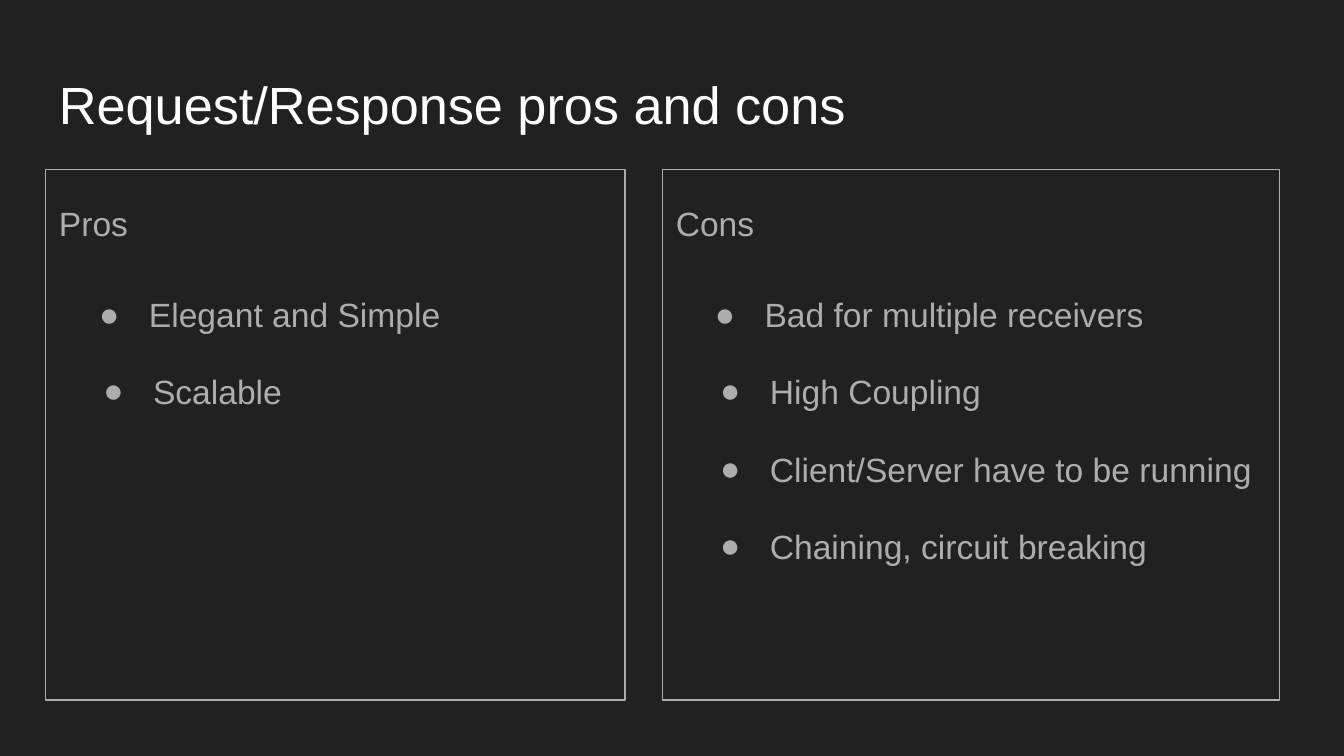
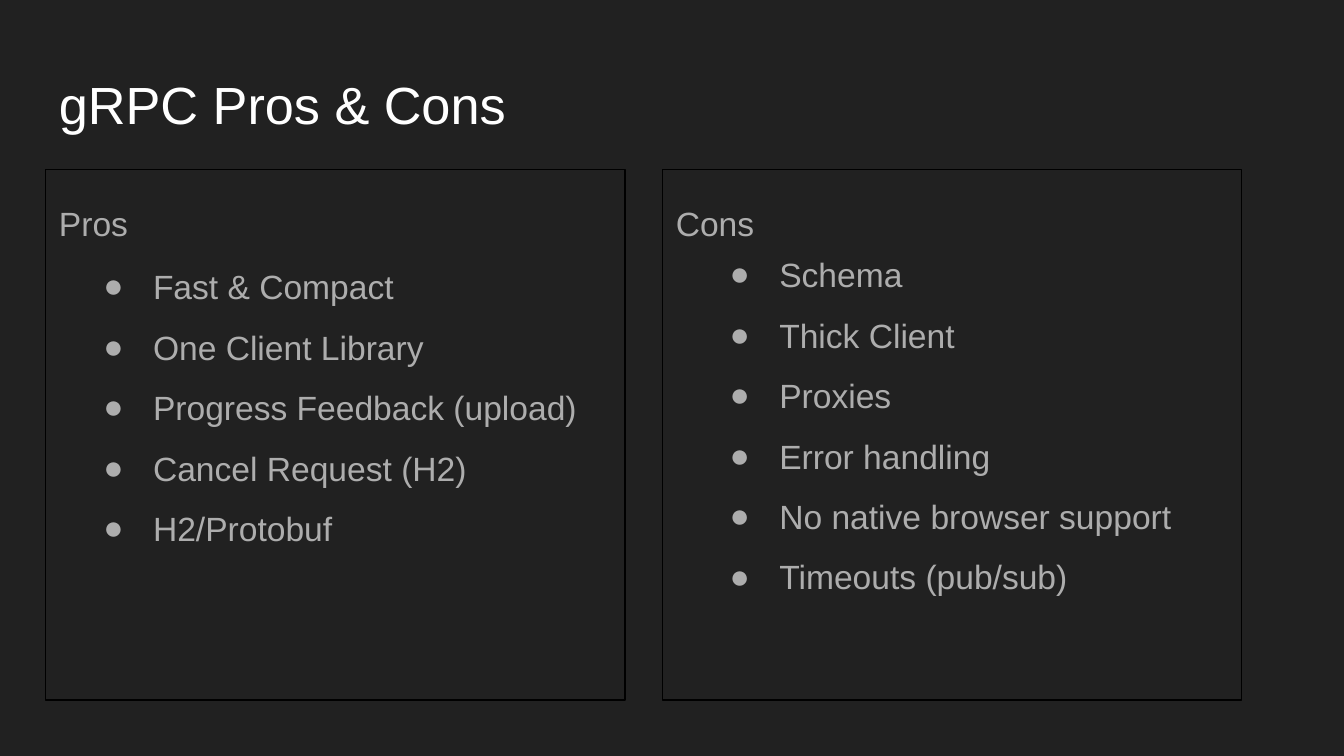
"""Build two slides that weigh pros against cons in side-by-side panels."""
import pptx
import pptx.dml.color
import pptx.enum.shapes
import pptx.enum.text
import pptx.oxml.ns
import pptx.util
from lxml import etree

Inches = pptx.util.Inches
RGBColor = pptx.dml.color.RGBColor

BACKGROUND = RGBColor(0x21, 0x21, 0x21)
WHITE = RGBColor(0xFF, 0xFF, 0xFF)
GRAY = RGBColor(0xAD, 0xAD, 0xAD)
BLACK = RGBColor(0x00, 0x00, 0x00)
FONT = "Arial"

WIDTH = 10
HEIGHT = WIDTH * 9 / 16
MARGIN = 0.34
PANEL_TOP, PANEL_WIDTH, PANEL_HEIGHT = 1.26, 4.31, 3.95
PANEL_LEFTS = (MARGIN, 4.93)
LIST_WIDTH, ITEM_HEIGHT = 3.91, 0.8
INDENT, HANGING = 0.5, 0.37

# Each list is (offset from panel, top, width, height, items).
SLIDES = [
    {
        "title": "Request/Response pros and cons",
        "line": GRAY,
        "panels": [
            ("Pros", PANEL_WIDTH, [
                (0.17, 1.94, LIST_WIDTH, ITEM_HEIGHT, ["Elegant and Simple"]),
                (0.2, 2.51, LIST_WIDTH, ITEM_HEIGHT, ["Scalable"]),
            ]),
            ("Cons", 4.59, [
                (0.16, 1.94, LIST_WIDTH, ITEM_HEIGHT, ["Bad for multiple receivers"]),
                (0.2, 2.51, LIST_WIDTH, ITEM_HEIGHT, ["High Coupling"]),
                (0.2, 3.09, PANEL_WIDTH, ITEM_HEIGHT, ["Client/Server have to be running"]),
                (0.2, 3.66, LIST_WIDTH, ITEM_HEIGHT, ["Chaining, circuit breaking"]),
            ]),
        ],
    },
    {
        "title": "gRPC Pros & Cons",
        "line": BLACK,
        "panels": [
            ("Pros", PANEL_WIDTH, [
                (0.2, 1.73, LIST_WIDTH, 3.19, [
                    "Fast & Compact", "One Client Library", "Progress Feedback (upload)",
                    "Cancel Request (H2)", "H2/Protobuf"]),
            ]),
            ("Cons", PANEL_WIDTH, [
                (0.27, 1.64, LIST_WIDTH, 3.5, [
                    "Schema", "Thick Client", "Proxies", "Error handling",
                    "No native browser support", "Timeouts (pub/sub)"]),
            ]),
        ],
    },
]


def add_bullet(p):
    pPr = p._p.get_or_add_pPr()
    pPr.set("marL", str(Inches(INDENT)))
    pPr.set("indent", str(-Inches(HANGING)))
    qn = pptx.oxml.ns.qn
    color = etree.SubElement(pPr, qn("a:buClr"))
    etree.SubElement(color, qn("a:srgbClr"), val=str(GRAY))
    etree.SubElement(pPr, qn("a:buFont"), typeface=FONT)
    etree.SubElement(pPr, qn("a:buChar"), char="●")


def write(sp, lines, size=18, color=GRAY, spacing=1.5, bullets=False):
    tf = sp.text_frame
    tf.word_wrap = True
    tf.vertical_anchor = pptx.enum.text.MSO_ANCHOR.TOP
    tf.margin_left = tf.margin_right = tf.margin_top = tf.margin_bottom = Inches(0.1)
    tf.text = "\n".join(lines)
    for p in tf.paragraphs:
        if bullets:
            add_bullet(p)
        p.alignment = pptx.enum.text.PP_ALIGN.LEFT
        p.line_spacing = spacing
        for r in p.runs:
            r.font.name = FONT
            r.font.size = pptx.util.Pt(size)
            r.font.color.rgb = color


def add_text(s, box, lines, **style):
    write(s.shapes.add_textbox(*map(Inches, box)), lines, **style)


def add_panel(s, box, heading, line):
    sp = s.shapes.add_shape(pptx.enum.shapes.MSO_SHAPE.RECTANGLE, *map(Inches, box))
    sp.shadow.inherit = False
    sp.fill.background()
    sp.line.color.rgb = line
    sp.line.width = pptx.util.Pt(0.75)
    write(sp, [heading])


def build_slide(prs, content):
    s = prs.slides.add_slide(prs.slide_layouts[6])
    s.background.fill.solid()
    s.background.fill.fore_color.rgb = BACKGROUND
    add_text(s, (MARGIN, 0.49, WIDTH - 2 * MARGIN, 0.63), [content["title"]],
             size=28, color=WHITE, spacing=0.9)
    for left, (heading, width, lists) in zip(PANEL_LEFTS, content["panels"]):
        add_panel(s, (left, PANEL_TOP, width, PANEL_HEIGHT), heading, content["line"])
        for offset, top, list_width, height, items in lists:
            add_text(s, (left + offset, top, list_width, height), items, bullets=True)


def main():
    prs = pptx.Presentation()
    prs.slide_width, prs.slide_height = Inches(WIDTH), Inches(HEIGHT)
    for content in SLIDES:
        build_slide(prs, content)
    prs.save("out.pptx")


if __name__ == "__main__":
    main()
